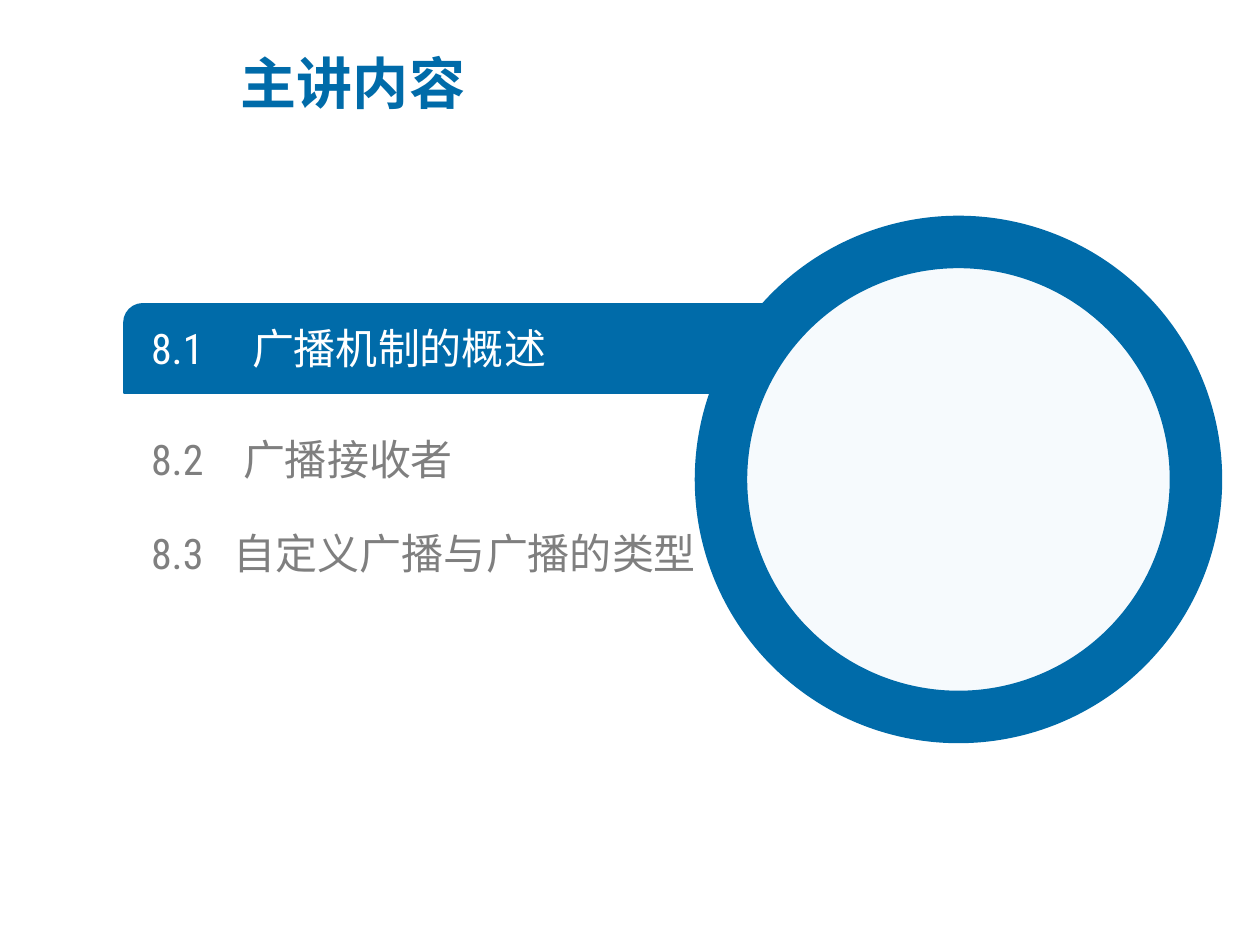
from lxml.etree import SubElement
from pptx import Presentation
from pptx.dml.color import RGBColor
from pptx.enum.shapes import MSO_SHAPE
from pptx.enum.text import MSO_ANCHOR
from pptx.oxml.ns import qn
from pptx.util import Emu, Pt

BLUE, WHITE, GRAY, PALE = "006BA9", "FFFFFF", "7F7F7F", "F6FAFD"
CJK, LATIN = "Noto Sans CJK SC", "Roboto Condensed"
PX = 914400 / 126

prs = Presentation()
prs.slide_width, prs.slide_height = Emu(9144000), Emu(6858000)
s = prs.slides.add_slide(prs.slide_layouts[6])


def add_panel(kind, box, fill, width):
    sp = s.shapes.add_shape(kind, *[Emu(round(v * PX)) for v in box])
    sp.shadow.inherit = False
    sp.fill.solid()
    sp.fill.fore_color.rgb = RGBColor.from_string(fill)
    sp.line.color.rgb = RGBColor.from_string(BLUE)
    sp.line.width = Pt(width)
    return sp


def add_text(text, box, size, color, font=CJK, bold=False, tab=None):
    sp = s.shapes.add_textbox(*[Emu(round(v * PX)) for v in box])
    tf = sp.text_frame
    tf.word_wrap = True
    tf.vertical_anchor = MSO_ANCHOR.MIDDLE
    tf.margin_left = tf.margin_right = tf.margin_top = tf.margin_bottom = 0
    p = tf.paragraphs[0]
    if tab:
        tabs = SubElement(p._p.get_or_add_pPr(), qn("a:tabLst"))
        SubElement(tabs, qn("a:tab"), pos=str(round(tab * PX)), algn="l")
    r = p.add_run()
    r.text = text
    r.font.size = Pt(size)
    r.font.bold = bold
    r.font.name = font
    r.font.color.rgb = RGBColor.from_string(color)
    SubElement(r._r.get_or_add_rPr(), qn("a:ea"), typeface=CJK)


bar = add_panel(MSO_SHAPE.ROUND_2_DIAG_RECTANGLE, (124, 304, 684, 89), BLUE, 1)
bar.adjustments[0] = 0.21
bar.adjustments[1] = 0

topics = [
    ("8.1", "广播机制的概述", 323, WHITE, 101),
    ("8.2", "广播接收者", 434, GRAY, 92),
    ("8.3", "自定义广播与广播的类型", 528, GRAY, 83),
]
for number, topic, top, color, tab in topics:
    add_text(f"{number}\t{topic}", (151, top, 550, 50), 24, color, font=LATIN, tab=tab)

add_panel(MSO_SHAPE.OVAL, (721, 242, 475, 475), PALE, 30)
add_text("主讲内容", (241, 29, 684, 106), 32, BLUE, bold=True)

prs.save("out.pptx")
